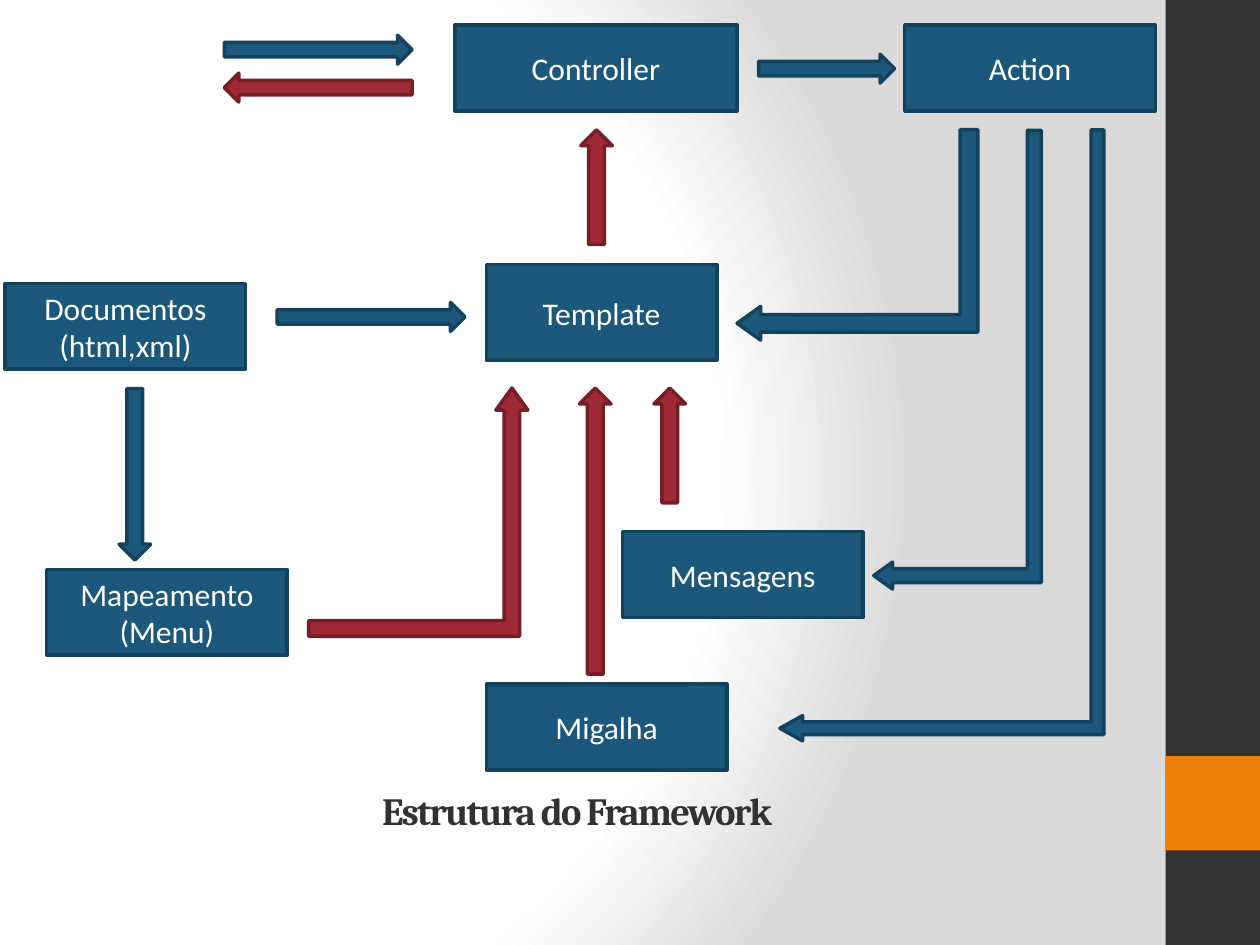
from lxml import etree
from pptx import Presentation
from pptx.dml.color import RGBColor
from pptx.enum.shapes import MSO_SHAPE as Preset
from pptx.enum.text import MSO_ANCHOR as Anchor, MSO_AUTO_SIZE as AutoSize, PP_ALIGN as Align
from pptx.oxml import parse_xml
from pptx.util import Inches, Pt

COLORS = {
    "blue": "1B587C", "blue_edge": "14415C",
    "red": "9F2936", "red_edge": "761E28",
    "dark": "323232", "orange": "F07F09",
    "white": "FFFFFF", "gray": "DADADA",
}
DRAWING_NS = "http://schemas.openxmlformats.org/drawingml/2006/main"


def rgb(name):
    return RGBColor.from_string(COLORS[name])


def write_text(frame, text, font="Calibri", size=18, color="white", bold=False,
               anchor=Anchor.MIDDLE, spacing=None):
    """Fill a text frame with centred text, one paragraph per line."""
    frame.word_wrap = True
    frame.auto_size = AutoSize.NONE
    frame.vertical_anchor = anchor
    for i, line in enumerate(text.split("\n")):
        paragraph = frame.paragraphs[0] if i == 0 else frame.add_paragraph()
        paragraph.alignment = Align.CENTER
        run = paragraph.add_run()
        run.text = line
        run.font.name = font
        run.font.size = Pt(size)
        run.font.bold = bold
        run.font.color.rgb = rgb(color)
        if spacing is not None:
            run.font._element.set("spc", str(round(spacing * 100)))


class FlowSlide:
    """The current slide and the style of its elements."""
    edge_width = Pt(2)

    def __init__(self, slide):
        self.slide = slide

    def background(self):
        fill = self.slide.background.fill
        fill.gradient()
        stops = "".join(
            f'<a:gs pos="{pos * 1000}"><a:srgbClr val="{COLORS[name]}"/></a:gs>'
            for pos, name in ((0, "white"), (75, "white"), (100, "gray")))
        radial = parse_xml(
            f'<a:gradFill xmlns:a="{DRAWING_NS}" rotWithShape="1"><a:gsLst>{stops}</a:gsLst>'
            '<a:path path="circle"><a:fillToRect l="20000" t="50000" r="100000" b="50000"/>'
            '</a:path></a:gradFill>')
        bg = self.slide.element.cSld
        linear = next(bg.iter(etree.QName(DRAWING_NS, "gradFill").text))
        linear.getparent().replace(linear, radial)

    def shape(self, preset, at, color, edge=None):
        shape = self.slide.shapes.add_shape(preset, *map(Inches, at))
        shape.shadow.inherit = False
        shape.fill.solid()
        shape.fill.fore_color.rgb = rgb(color)
        if edge:
            shape.line.color.rgb = rgb(edge)
            shape.line.width = self.edge_width
        else:
            shape.line.fill.background()
        return shape

    def box(self, text, left, top, width=1.91, height=0.68):
        box = self.shape(Preset.RECTANGLE, (left, top, width, height), "blue", "blue_edge")
        write_text(box.text_frame, text)

    def arrow(self, at, color="blue", rotation=0):
        arrow = self.shape(Preset.RIGHT_ARROW, at, color, f"{color}_edge")
        arrow.rotation = rotation

    def bent_arrow(self, at, adjustments, color="blue", turned=True):
        arrow = self.shape(Preset.BENT_UP_ARROW, at, color, f"{color}_edge")
        for i, value in enumerate(adjustments):
            arrow.adjustments[i] = value
        if turned:  # from the top down, then pointing left
            arrow.rotation = 90
            arrow.element.spPr.get_or_add_xfrm().set("flipV", "1")

    def title(self, text, at):
        title = self.slide.shapes.title
        title.left, title.top, title.width, title.height = map(Inches, at)
        write_text(title.text_frame, text, font="Cambria", size=22, color="dark",
                   bold=True, anchor=Anchor.BOTTOM, spacing=-1)


def main():
    prs = Presentation()
    prs.slide_width, prs.slide_height = Inches(10), Inches(7.5)
    flow = FlowSlide(prs.slides.add_slide(prs.slide_layouts[5]))

    # Background and side band
    flow.background()
    flow.shape(Preset.RECTANGLE, (9.25, 0, 0.75, 7.5), "dark")
    flow.shape(Preset.RECTANGLE, (9.25, 6, 0.75, 0.75), "orange")

    # Framework parts
    flow.box("Controller", 3.61, 0.2, width=2.24)
    flow.box("Action", 7.18, 0.2, width=1.99)
    flow.box("Template", 3.86, 2.1, width=1.83, height=0.76)
    flow.box("Documentos\n(html,xml)", 0.04, 2.25)
    flow.box("Mapeamento\n(Menu)", 0.37, 4.52)
    flow.box("Mensagens", 4.94, 4.22)
    flow.box("Migalha", 3.86, 5.43)

    # Request and response
    flow.arrow((1.78, 0.28, 1.49, 0.23))
    flow.arrow((1.78, 0.58, 1.49, 0.23), "red", 180)

    # Calls: to Action, to Template, down to Mapeamento
    flow.arrow((6.02, 0.43, 1.08, 0.23))
    flow.arrow((2.2, 2.4, 1.49, 0.23))
    flow.arrow((0.39, 3.64, 1.36, 0.25), rotation=90)

    # Results going up: to Controller, from Mensagens, from Migalha
    for at in ((4.28, 1.36, 0.91, 0.25), (4.86, 3.41, 0.91, 0.25), (3.59, 4.09, 2.27, 0.25)):
        flow.arrow(at, "red", 270)

    # Mapeamento to Template
    flow.bent_arrow((2.45, 3.08, 1.74, 1.97), (0.071, 0.073, 0.101), "red", turned=False)

    # Action to Template, Mensagens and Migalha
    flow.bent_arrow((5.97, 0.91, 1.67, 1.91), (0.083, 0.08, 0.112))
    flow.bent_arrow((5.78, 2.19, 3.64, 1.33), (0.083, 0.08, 0.112))
    flow.bent_arrow((5.05, 2.17, 4.85, 2.57), (0.039, 0.039, 0.07))

    flow.title("Estrutura do Framework", (0.33, 6.01, 8.5, 0.65))
    prs.save("out.pptx")


if __name__ == "__main__":
    main()
